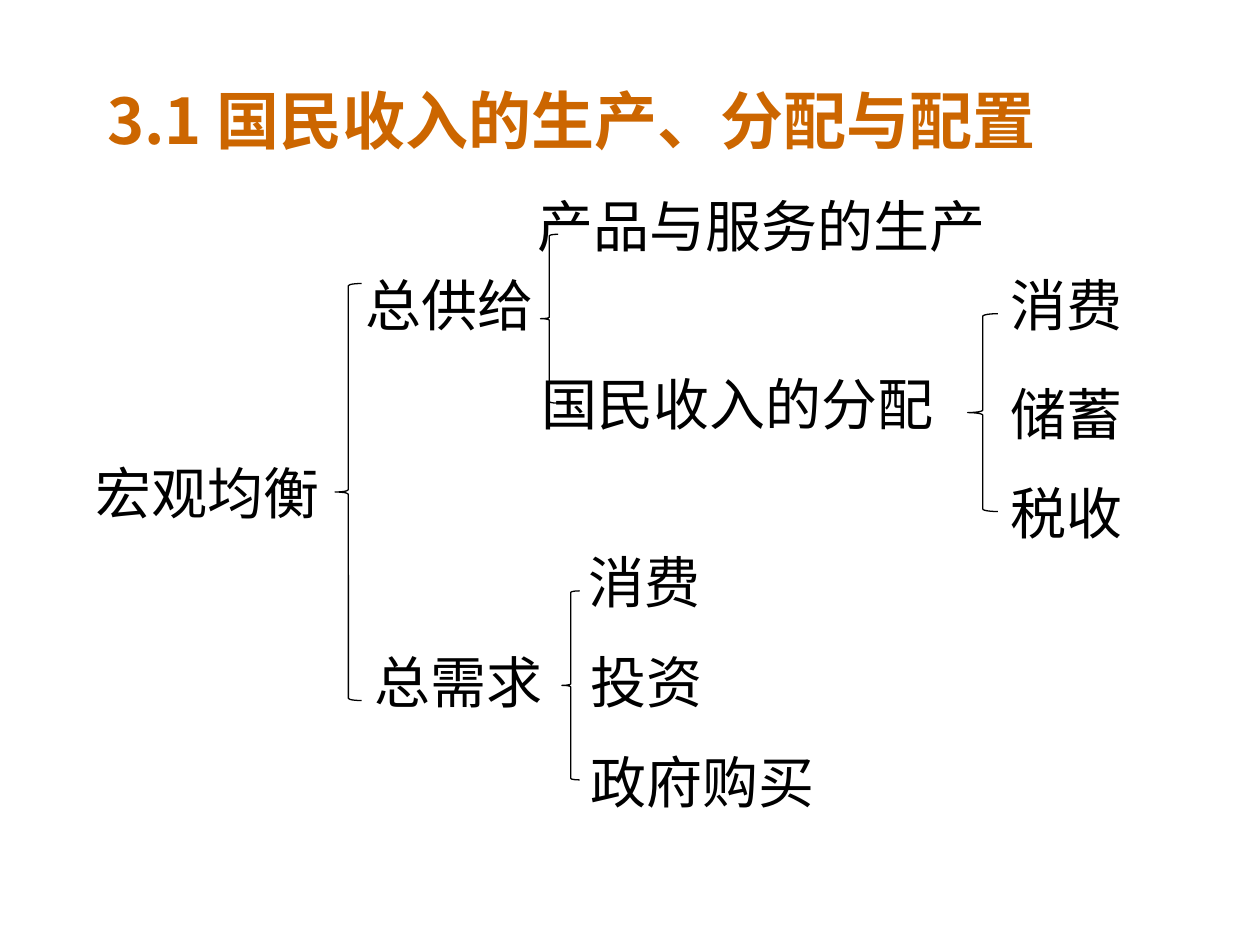
from dataclasses import dataclass

from lxml.etree import SubElement
from pptx import Presentation
from pptx.dml.color import RGBColor
from pptx.enum.shapes import MSO_SHAPE
from pptx.enum.text import MSO_ANCHOR, MSO_AUTO_SIZE, PP_ALIGN
from pptx.oxml.ns import qn
from pptx.util import Inches, Pt


@dataclass(frozen=True)
class Theme:
    """Colours, fonts and sizes of the slide."""
    accent: RGBColor = RGBColor(0xCC, 0x66, 0x00)
    ink: RGBColor = RGBColor(0, 0, 0)
    title_font: str = "Noto Sans CJK SC"
    label_font: str = "Arial"
    title_size: Pt = Pt(36)
    label_size: Pt = Pt(32)
    line: Pt = Pt(0.75)


THEME = Theme()
LABEL_HEIGHT = 0.64
CHAR_WIDTH = 0.445

TITLE = "3.1 国民收入的生产、分配与配置"
TITLE_BOX = (0.75, 0.6, 8.32, 0.7)
BRANCHES = [
    ((2.66, 2.25, 0.21, 3.31),
     [("宏观均衡", -2.0, 1.34), ("总供给", 0.14, -0.15), ("总需求", 0.21, 2.84)]),
    ((4.29, 1.86, 0.14, 1.34),
     [("产品与服务的生产", -0.12, -0.39), ("国民收入的分配", -0.09, 1.02)]),
    ((4.46, 4.69, 0.14, 1.5),
     [("消费", 0.11, -0.39), ("投资", 0.13, 0.4), ("政府购买", 0.13, 1.19)]),
    ((7.68, 2.49, 0.24, 1.57),
     [("消费", 0.24, -0.39), ("储蓄", 0.24, 0.47), ("税收", 0.24, 1.26)]),
]


def style_run(r, font, size, color, bold=False):
    """Format a run for both Latin and Chinese text."""
    r.font.name = font
    r.font.size = size
    r.font.bold = bold
    r.font.color.rgb = color


def add_title(s, box):
    """Place the slide title in the given box."""
    sp = s.shapes.title
    sp.left, sp.top, sp.width, sp.height = map(Inches, box)
    tf = sp.text_frame
    tf.text = TITLE
    tf.auto_size = MSO_AUTO_SIZE.NONE
    tf.vertical_anchor = MSO_ANCHOR.BOTTOM
    p = tf.paragraphs[0]
    p.alignment = PP_ALIGN.LEFT
    r = p.runs[0]
    style_run(r, THEME.title_font, THEME.title_size, THEME.accent, True)
    SubElement(r.font._element, qn("a:ea"), typeface=THEME.title_font)


def add_label(s, text, left, top):
    """Add one single-line label sized to its characters."""
    width = CHAR_WIDTH * len(text) + 0.2
    sp = s.shapes.add_textbox(*map(Inches, (left, top, width, LABEL_HEIGHT)))
    tf = sp.text_frame
    tf.text = text
    tf.word_wrap = False
    style_run(tf.paragraphs[0].runs[0], THEME.label_font, THEME.label_size, THEME.ink)


def add_branch(s, box, labels):
    """Draw a left brace in the box and its labels relative to the box corner."""
    sp = s.shapes.add_shape(MSO_SHAPE.LEFT_BRACE, *map(Inches, box))
    sp.shadow.inherit = False
    sp.fill.background()
    sp.line.color.rgb = THEME.ink
    sp.line.width = THEME.line
    left, top = box[:2]
    for text, dx, dy in labels:
        add_label(s, text, left + dx, top + dy)


def main():
    """Build and save the slide."""
    prs = Presentation()
    prs.slide_width, prs.slide_height = Inches(10), Inches(7.5)
    s = prs.slides.add_slide(prs.slide_layouts[5])
    add_title(s, TITLE_BOX)
    for box, labels in BRANCHES:
        add_branch(s, box, labels)
    prs.save("out.pptx")


if __name__ == "__main__":
    main()
